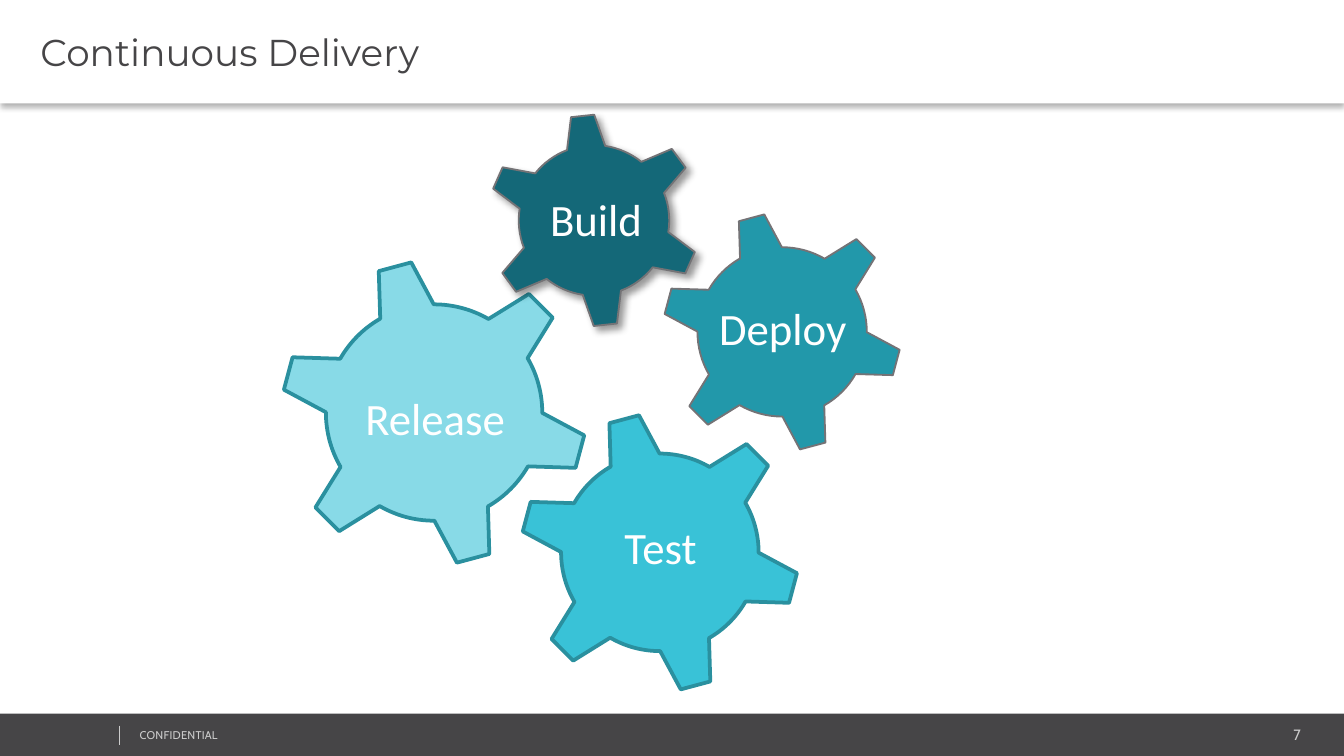
from lxml.etree import SubElement
from pptx import Presentation
from pptx.dml.color import RGBColor
from pptx.enum.shapes import MSO_CONNECTOR, MSO_SHAPE
from pptx.enum.text import MSO_ANCHOR, PP_ALIGN
from pptx.oxml.ns import qn
from pptx.util import Inches, Pt

WHITE = "FFFFFF"
CHARCOAL = "464547"
PALE_GRAY = "CCCCCC"
MID_GRAY = "747376"
TEAL = "2A909F"
FOOTER_INSETS = (0.07, 0.04, 0.07, 0.04)


def color(hex_string):
    return RGBColor.from_string(hex_string)


def add_filled(slide, preset, box, fill, outline=None, outline_width=1):
    shape = slide.shapes.add_shape(preset, *map(Inches, box))
    shape.shadow.inherit = False
    shape.fill.solid()
    shape.fill.fore_color.rgb = color(fill)
    if outline:
        shape.line.color.rgb = color(outline)
        shape.line.width = Pt(outline_width)
    else:
        shape.line.fill.background()
    return shape


def add_shadow(shape, opacity, blur, distance, angle):
    effects = shape._element.spPr.find(qn("a:effectLst"))
    shadow = SubElement(effects, qn("a:outerShdw"), blurRad=str(Pt(blur)),
                        dist=str(Pt(distance)), dir=str(angle * 60000),
                        algn="tl", rotWithShape="0")
    black = SubElement(shadow, qn("a:srgbClr"), val="000000")
    SubElement(black, qn("a:alpha"), val=str(opacity * 1000))


def write(shape, text, size, font, ink, align=PP_ALIGN.LEFT,
          insets=(0.1, 0.05, 0.1, 0.05), anchor=MSO_ANCHOR.TOP):
    frame = shape.text_frame
    frame.word_wrap = True
    frame.vertical_anchor = anchor
    (frame.margin_left, frame.margin_top,
     frame.margin_right, frame.margin_bottom) = map(Inches, insets)
    paragraph = frame.paragraphs[0]
    paragraph.alignment = align
    run = paragraph.add_run()
    run.text = text
    run.font.size = Pt(size)
    run.font.name = font
    run.font.color.rgb = color(ink)
    return run


def add_text(slide, box, *args, **options):
    return write(slide.shapes.add_textbox(*map(Inches, box)), *args, **options)


def add_divider(slide, x, top, bottom):
    divider = slide.shapes.add_connector(
        MSO_CONNECTOR.STRAIGHT, *map(Inches, (x, top, x, bottom)))
    divider.line.color.rgb = color(PALE_GRAY)
    divider.line.width = Pt(0.25)
    SubElement(divider._element.spPr, qn("a:effectLst"))


def add_footer(slide):
    add_filled(slide, MSO_SHAPE.RECTANGLE, (0, 5.31, 10.01, 0.33), CHARCOAL)
    add_text(slide, (8.12, 5.36, 1.63, 0.21), "7", 8, "Cabin", PALE_GRAY,
             align=PP_ALIGN.RIGHT, insets=FOOTER_INSETS)
    notice = add_text(slide, (0.97, 5.38, 2.53, 0.18), "CONFIDENTIAL", 6,
                      "Cabin", PALE_GRAY, insets=FOOTER_INSETS)
    notice.font._element.set("spc", "10")
    add_divider(slide, 0.89, 5.4, 5.54)


def add_title(slide, text):
    banner = add_filled(slide, MSO_SHAPE.RECTANGLE, (0, 0, 10, 0.77), WHITE)
    add_shadow(banner, 30, 3.1, 2, 90)
    write(banner, text, 20, "Montserrat", CHARCOAL,
          insets=(0.3, 0.04, 0.07, 0.04), anchor=MSO_ANCHOR.MIDDLE)


def add_gear(slide, left, top, size, fill, outline, outline_width, rotation=345):
    gear = add_filled(slide, MSO_SHAPE.GEAR_6, (left, top, size, size),
                      fill, outline, outline_width)
    gear.rotation = rotation
    return gear


def add_stage_label(slide, text, left, top, align=PP_ALIGN.CENTER):
    add_text(slide, (left, top, 1.87, 0.5), text, 24, "Calibri", WHITE, align=align)


def main():
    deck = Presentation()
    deck.slide_width, deck.slide_height = Inches(10), Inches(10 * 9 / 16)
    slide = deck.slides.add_slide(deck.slide_layouts[6])

    add_footer(slide)
    add_title(slide, "Continuous Delivery")

    add_gear(slide, 2.08, 1.92, 2.3, "88DAE7", TEAL, 2)
    build = add_gear(slide, 3.62, 0.84, 1.6, "146878", MID_GRAY, 1, rotation=353.8)
    add_shadow(build, 40, 4, 3, 45)
    add_gear(slide, 4.92, 1.57, 1.8, "2298AA", MID_GRAY, 1)
    add_gear(slide, 3.86, 3.06, 2.1, "39C2D7", TEAL, 2)

    add_stage_label(slide, "Release", 2.62, 2.86, align=PP_ALIGN.LEFT)
    add_stage_label(slide, "Build", 3.5, 1.38)
    add_stage_label(slide, "Deploy", 4.89, 2.19)
    add_stage_label(slide, "Test", 3.98, 3.82)

    deck.save("out.pptx")


if __name__ == "__main__":
    main()
